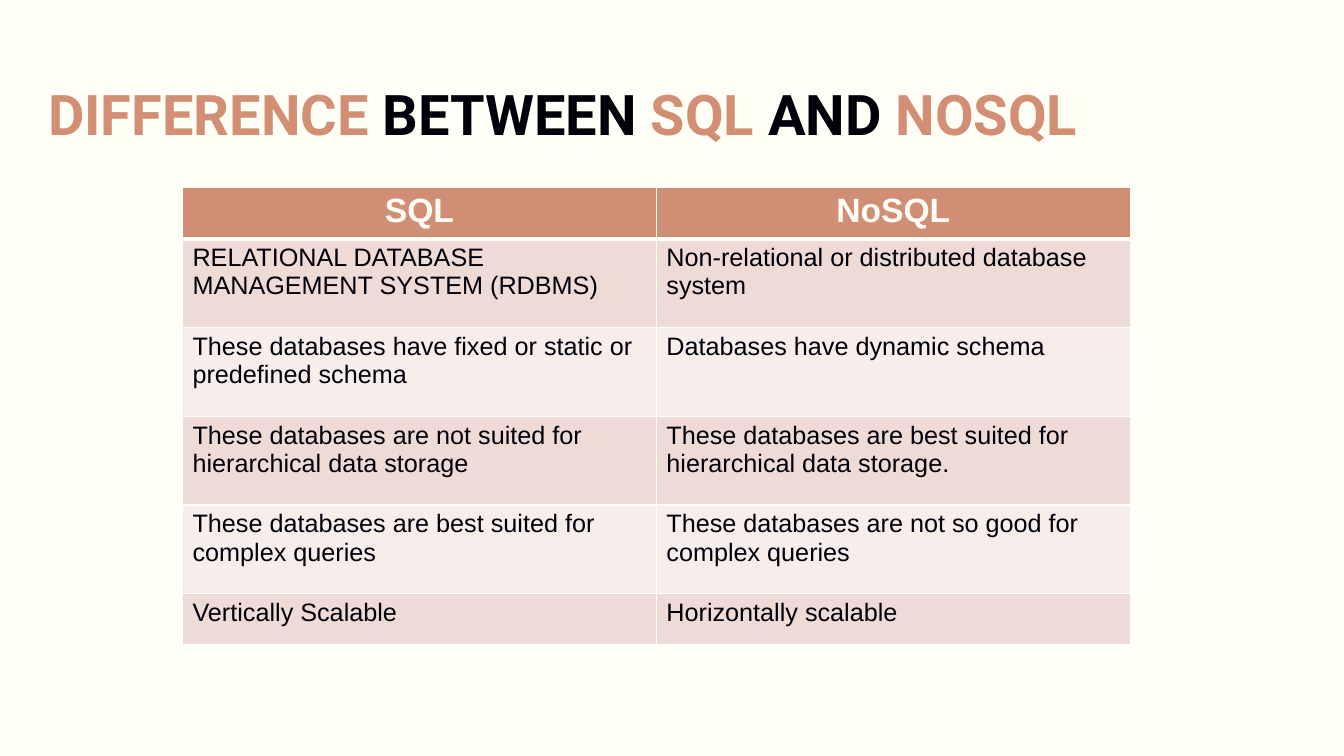
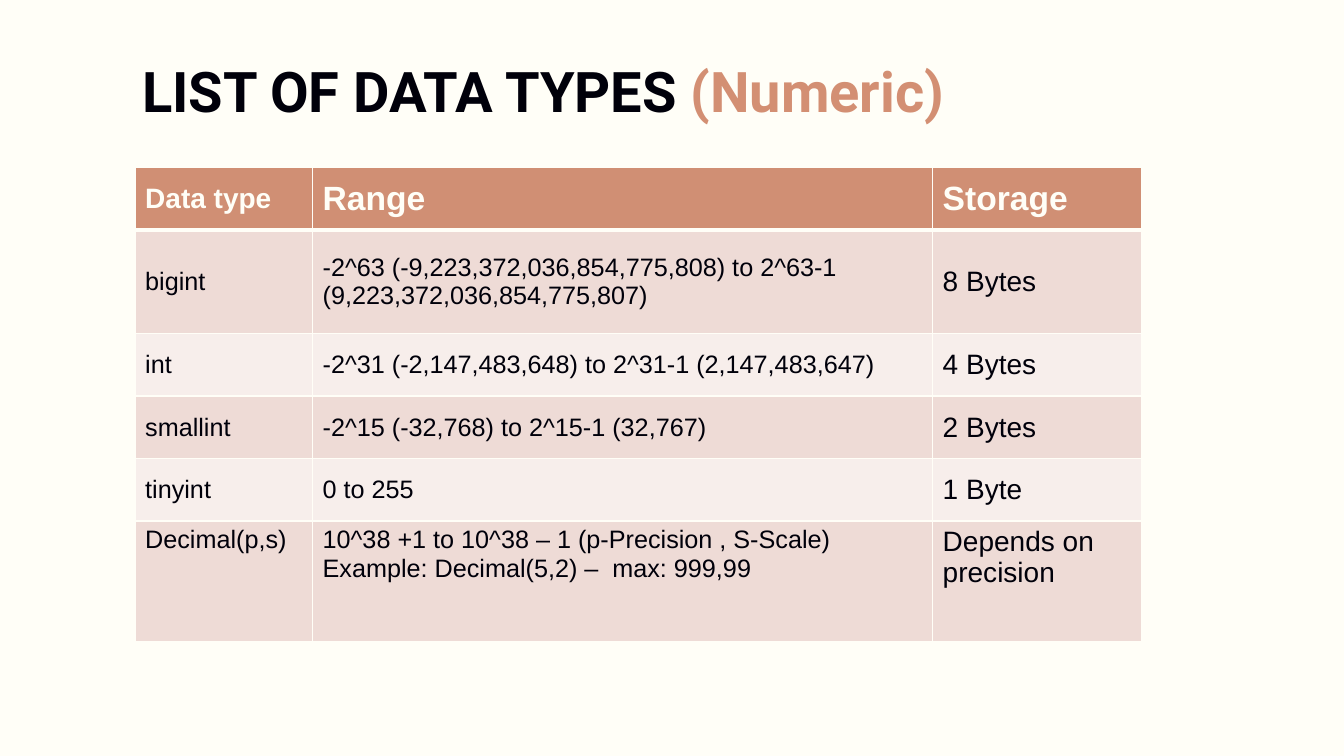
from dataclasses import dataclass

from lxml.etree import SubElement
from pptx import Presentation
from pptx.dml.color import RGBColor
from pptx.enum.text import MSO_ANCHOR, PP_ALIGN
from pptx.oxml.ns import qn
from pptx.util import Inches, Pt


@dataclass(frozen=True)
class Theme:
    background: str = "FFFEF7"
    ink: str = "00000A"
    accent: str = "D38F73"
    header_fill: str = "D08F74"
    row_fills: tuple = ("EEDBD6", "F7EEEB")
    title_font: str = "Roboto"
    body_font: str = "Arial"
    title_size: int = 40
    header_size: int = 24
    medium_size: int = 20
    body_size: int = 18
    rule: int = 1
    header_rule: int = 3


THEME = Theme()


def add_span(para, text, *, font, size, color, bold=False):
    span = para.add_run()
    span.text = text
    span.font.name = font
    span.font.size = Pt(size)
    span.font.bold = bold
    span.font.color.rgb = RGBColor.from_string(color)


def set_borders(cell, **widths):
    properties = cell._tc.get_or_add_tcPr()
    for side in ("L", "R", "T", "B"):
        width = Pt(widths.get(side, THEME.rule))
        line = SubElement(properties, qn(f"a:ln{side}"), w=str(width))
        fill = SubElement(line, qn("a:solidFill"))
        SubElement(fill, qn("a:srgbClr"), val=THEME.background)


class SlideBuilder:
    def __init__(self, deck, theme):
        self.deck = deck
        self.theme = theme
        self.page = None
        background = deck.slide_master.background.fill
        background.solid()
        background.fore_color.rgb = RGBColor.from_string(theme.background)

    def new_page(self):
        self.page = self.deck.slides.add_slide(self.deck.slide_layouts[6])

    def title(self, left, top, width, height, spans):
        box = self.page.shapes.add_textbox(
            Inches(left), Inches(top), Inches(width), Inches(height))
        frame = box.text_frame
        frame.word_wrap = True
        frame.vertical_anchor = MSO_ANCHOR.MIDDLE
        frame.margin_left = frame.margin_right = Inches(0.07)
        frame.margin_top = frame.margin_bottom = Inches(0.04)
        for text, color in spans:
            add_span(frame.paragraphs[0], text, font=self.theme.title_font,
                     size=self.theme.title_size, color=color, bold=True)

    def table(self, left, top, widths, heights, rows, header_sizes, body_sizes,
              header_align=PP_ALIGN.LEFT, middle_rows=0):
        table = self.page.shapes.add_table(
            len(rows), len(widths), Inches(left), Inches(top),
            Inches(sum(widths)), Inches(sum(heights))).table
        for column, width in zip(table.columns, widths):
            column.width = Inches(width)
        for row, height in zip(table.rows, heights):
            row.height = Inches(height)
        for row_index, texts in enumerate(rows):
            is_header = row_index == 0
            sizes = header_sizes if is_header else body_sizes
            anchor = MSO_ANCHOR.MIDDLE if row_index < middle_rows else MSO_ANCHOR.TOP
            for column_index, text in enumerate(texts):
                cell = table.cell(row_index, column_index)
                cell.vertical_anchor = anchor
                self.cell_style(cell, row_index)
                self.cell_text(cell, text, sizes[column_index], is_header,
                               header_align if is_header else PP_ALIGN.LEFT)

    def cell_style(self, cell, row_index):
        theme = self.theme
        if row_index == 0:
            set_borders(cell, B=theme.header_rule)
            color = theme.header_fill
        else:
            set_borders(cell, T=theme.header_rule if row_index == 1 else theme.rule)
            color = theme.row_fills[(row_index - 1) % len(theme.row_fills)]
        cell.fill.solid()
        cell.fill.fore_color.rgb = RGBColor.from_string(color)

    def cell_text(self, cell, text, size, is_header, align):
        frame = cell.text_frame
        for index, line in enumerate(text.split("\n")):
            para = frame.add_paragraph() if index else frame.paragraphs[0]
            para.alignment = align
            add_span(para, line, font=self.theme.body_font, size=size, bold=is_header,
                     color=self.theme.background if is_header else self.theme.ink)


def add_comparison(builder):
    theme = builder.theme
    builder.new_page()
    builder.title(0.41, 0.69, 11.77, 0.86, [
        ("DIFFERENCE ", theme.accent),
        ("BETWEEN", theme.ink),
        (" SQL ", theme.accent),
        ("AND", theme.ink),
        (" NOSQL", theme.accent),
    ])
    rows = [
        ("SQL", "NoSQL"),
        ("RELATIONAL DATABASE MANAGEMENT SYSTEM (RDBMS)",
         "Non-relational or distributed database system"),
        ("These databases have fixed or static or predefined schema",
         "Databases have dynamic schema"),
        ("These databases are not suited for hierarchical data storage",
         "These databases are best suited for hierarchical data storage."),
        ("These databases are best suited for complex queries",
         "These databases are not so good for complex queries"),
        ("Vertically Scalable", "Horizontally scalable"),
    ]
    builder.table(1.81, 1.86, [4.7] * 2, [0.51] + [0.88] * 4 + [0.51], rows,
                  header_sizes=[theme.header_size] * 2,
                  body_sizes=[theme.body_size] * 2,
                  header_align=PP_ALIGN.CENTER)


def add_numeric_types(builder):
    theme = builder.theme
    builder.new_page()
    builder.title(1.34, 0.41, 10.32, 0.96, [
        ("LIST OF DATA TYPES ", theme.ink),
        ("(Numeric)", theme.accent),
    ])
    rows = [
        ("Data type", "Range", "Storage"),
        ("bigint",
         "-2^63 (-9,223,372,036,854,775,808) to 2^63-1 (9,223,372,036,854,775,807)",
         "8 Bytes"),
        ("int", "-2^31 (-2,147,483,648) to 2^31-1 (2,147,483,647)", "4 Bytes"),
        ("smallint", "-2^15 (-32,768) to 2^15-1 (32,767)", "2 Bytes"),
        ("tinyint", "0 to 255", "1 Byte"),
        ("Decimal(p,s)",
         "10^38 +1 to 10^38 – 1 (p-Precision , S-Scale)\n"
         "Example: Decimal(5,2) –  max: 999,99",
         "Depends on precision"),
    ]
    builder.table(1.34, 1.66, [1.76, 6.15, 2.07], [0.62, 1.03] + [0.62] * 3 + [1.2], rows,
                  header_sizes=[theme.medium_size, theme.header_size, theme.header_size],
                  body_sizes=[theme.body_size, theme.body_size, theme.medium_size],
                  middle_rows=len(rows) - 1)


def main():
    deck = Presentation()
    deck.slide_width = Inches(13.33)
    deck.slide_height = Inches(7.5)
    builder = SlideBuilder(deck, THEME)
    add_comparison(builder)
    add_numeric_types(builder)
    deck.save("out.pptx")


if __name__ == "__main__":
    main()
